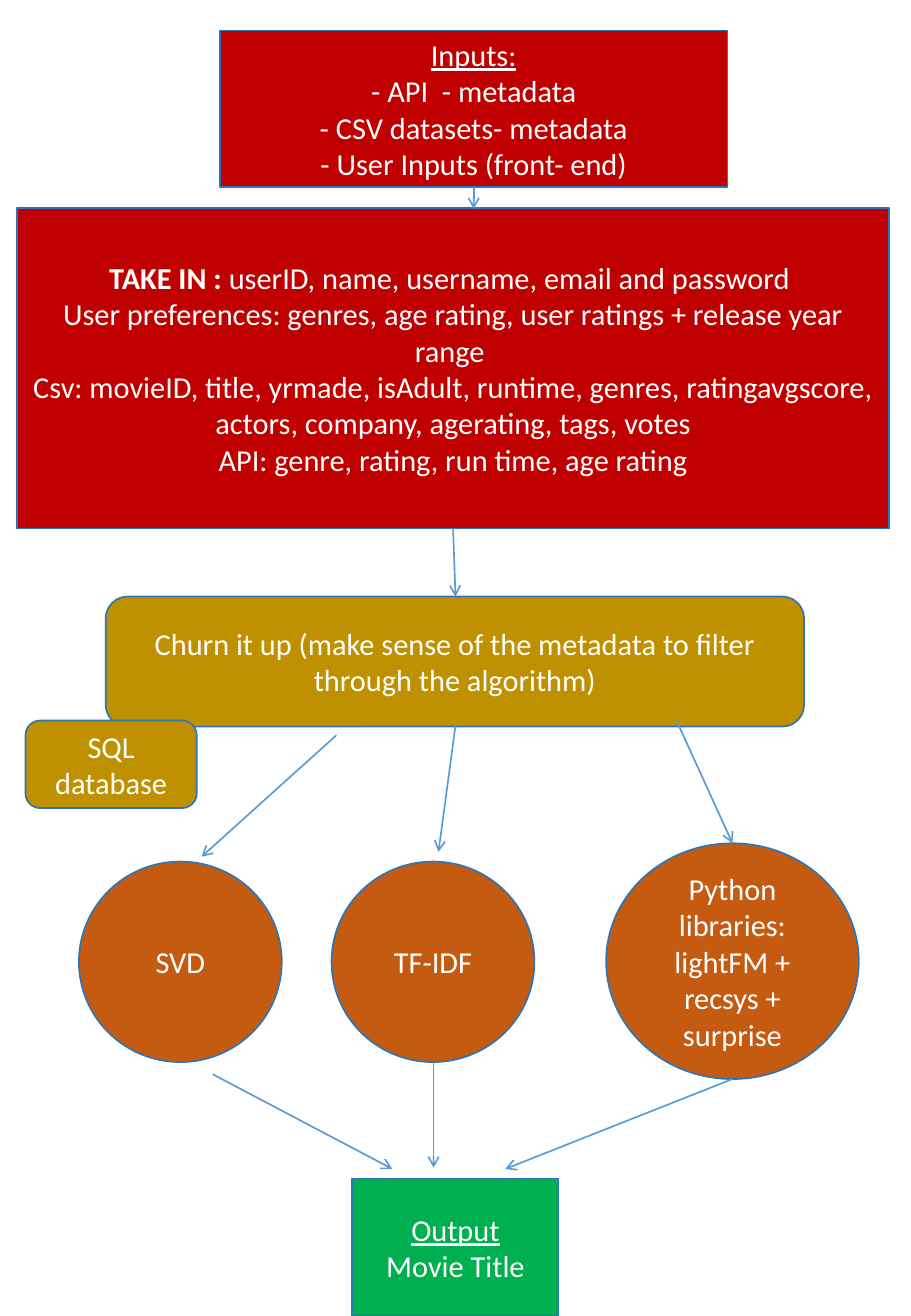
from dataclasses import dataclass

from lxml.etree import SubElement
from pptx import Presentation
from pptx.dml.color import RGBColor
from pptx.enum.shapes import MSO_CONNECTOR, MSO_SHAPE
from pptx.enum.text import MSO_ANCHOR, PP_ALIGN
from pptx.oxml.ns import qn
from pptx.slide import Slide
from pptx.util import Inches, Pt

RED = RGBColor(0xC0, 0x00, 0x00)
GOLD = RGBColor(0xBF, 0x90, 0x00)
ORANGE = RGBColor(0xC5, 0x5A, 0x11)
GREEN = RGBColor(0x00, 0xB0, 0x50)
WHITE = RGBColor(0xFF, 0xFF, 0xFF)
OUTLINE = RGBColor(0x2E, 0x75, 0xB6)
ARROW = RGBColor(0x5B, 0x9B, 0xD5)

TEXT_FORMAT = {"name": "Calibri", "size": Pt(18)}
FRAME_FORMAT = {"word_wrap": True, "vertical_anchor": MSO_ANCHOR.MIDDLE}


@dataclass(frozen=True)
class Span:
    text: str
    bold: bool = False
    underline: bool = False


@dataclass(frozen=True)
class Node:
    kind: MSO_SHAPE
    fill: RGBColor
    left: float
    top: float
    width: float
    height: float
    paragraphs: list[list[Span]]


@dataclass(frozen=True)
class Arrow:
    start: tuple[float, float]
    end: tuple[float, float]


# Steps of the flow, from back to front
NODES = [
    Node(MSO_SHAPE.RECTANGLE, RED, 1.81, 0.25, 4.18, 1.29, [
        [Span("Inputs:", underline=True)],
        [Span("- API  - metadata")],
        [Span("- CSV datasets- metadata")],
        [Span("- User Inputs (front- end)")],
    ]),
    Node(MSO_SHAPE.RECTANGLE, RED, 0.14, 1.71, 7.18, 2.64, [
        [Span("TAKE IN : ", bold=True),
         Span("userID, name, username, email and password ")],
        [Span("User preferences: genres, age rating, user ratings + release year range ")],
        [Span("Csv: movieID, title, yrmade, isAdult, runtime, genres, ratingavgscore, "
              "actors, company, agerating, tags, votes")],
        [Span("API: genre, rating, run time, age rating")],
    ]),
    Node(MSO_SHAPE.ROUNDED_RECTANGLE, GOLD, 0.87, 4.91, 5.75, 1.07, [
        [Span("Churn it up (make sense of the metadata to filter through the algorithm)")],
    ]),
    Node(MSO_SHAPE.ROUNDED_RECTANGLE, GOLD, 0.21, 5.93, 1.41, 0.72, [
        [Span("SQL database")],
    ]),
    Node(MSO_SHAPE.OVAL, ORANGE, 0.65, 7.09, 1.67, 1.65, [[Span("SVD")]]),
    Node(MSO_SHAPE.OVAL, ORANGE, 2.73, 7.09, 1.67, 1.65, [[Span("TF-IDF")]]),
    Node(MSO_SHAPE.OVAL, ORANGE, 4.99, 6.94, 2.08, 1.94, [
        [Span("Python libraries: lightFM + recsys + surprise")],
    ]),
    Node(MSO_SHAPE.RECTANGLE, GREEN, 2.9, 9.7, 1.7, 1.13, [
        [Span("Output", underline=True)],
        [Span("Movie Title")],
    ]),
]

ARROWS = [
    Arrow((3.9, 1.54), (3.9, 1.72)),
    Arrow((3.73, 4.35), (3.75, 4.91)),
    # Churned data to the three algorithms
    Arrow((2.77, 6.05), (1.66, 7.05)),
    Arrow((3.75, 5.97), (3.61, 7.01)),
    Arrow((5.57, 5.93), (6.03, 6.94)),
    # Algorithms to the output
    Arrow((1.75, 8.84), (3.23, 9.62)),
    Arrow((3.57, 8.74), (3.57, 9.61)),
    Arrow((6.03, 8.88), (4.16, 9.62)),
]


def set_attributes(target: object, values: dict[str, object]) -> None:
    for name, value in values.items():
        setattr(target, name, value)


def draw_node(slide: Slide, node: Node) -> None:
    box = map(Inches, (node.left, node.top, node.width, node.height))
    shape = slide.shapes.add_shape(node.kind, *box)
    shape.shadow.inherit = False
    shape.fill.solid()
    shape.fill.fore_color.rgb = node.fill
    shape.line.color.rgb = OUTLINE
    shape.line.width = Pt(1)

    frame = shape.text_frame
    set_attributes(frame, FRAME_FORMAT)
    for index, spans in enumerate(node.paragraphs):
        paragraph = frame.add_paragraph() if index else frame.paragraphs[0]
        paragraph.alignment = PP_ALIGN.CENTER
        for span in spans:
            run = paragraph.add_run()
            run.text = span.text
            set_attributes(run.font, TEXT_FORMAT | {
                "bold": span.bold, "underline": span.underline})
            run.font.color.rgb = WHITE


def draw_arrow(slide: Slide, arrow: Arrow) -> None:
    points = map(Inches, (*arrow.start, *arrow.end))
    connector = slide.shapes.add_connector(MSO_CONNECTOR.STRAIGHT, *points)
    connector.line.color.rgb = ARROW
    connector.line.width = Pt(1)
    properties = connector._element.spPr
    SubElement(properties.find(qn("a:ln")), qn("a:tailEnd"), type="arrow")
    SubElement(properties, qn("a:effectLst"))


def main() -> None:
    presentation = Presentation()
    set_attributes(presentation, {
        "slide_width": Inches(7.5), "slide_height": Inches(10.83)})
    slide = presentation.slides.add_slide(presentation.slide_layouts[6])
    for node in NODES:
        draw_node(slide, node)
    for arrow in ARROWS:
        draw_arrow(slide, arrow)
    presentation.save("out.pptx")


if __name__ == "__main__":
    main()
